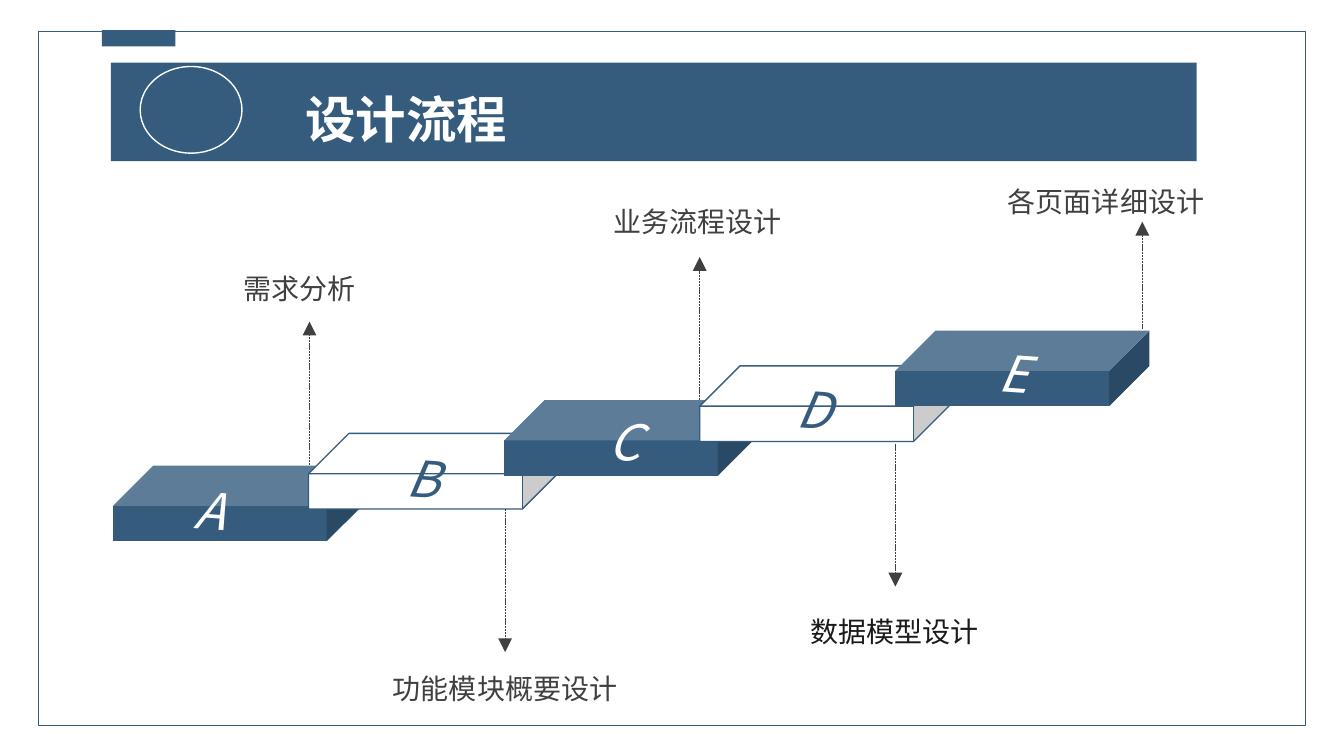
"""Build the design process slide: five ascending steps with labelled arrows."""
from lxml import etree
from pptx import Presentation, util as u
from pptx.dml.color import RGBColor
from pptx.enum import dml, shapes, text
from pptx.oxml import ns

NAVY = RGBColor(0x35, 0x5C, 0x7D)
WHITE = RGBColor(0xFF, 0xFF, 0xFF)
GREY = RGBColor(0x40, 0x40, 0x40)
DARK = RGBColor(0x1A, 0x1A, 0x1A)
FONT = "Noto Sans CJK SC"
KINDS = shapes.MSO_SHAPE

presentation = Presentation()
presentation.slide_width = u.Inches(13.33)
presentation.slide_height = u.Inches(7.5)
slide = presentation.slides.add_slide(presentation.slide_layouts[6])


def paint(shape, fill=None, line=None):
    shape.shadow.inherit = False
    if fill is None:
        shape.fill.background()
    else:
        shape.fill.solid()
        shape.fill.fore_color.rgb = fill
    if line is None:
        shape.line.fill.background()
    else:
        shape.line.color.rgb = line
        shape.line.width = u.Pt(1)


def add_text(words, center, middle, width, height, color, align=text.PP_ALIGN.CENTER, **font_format):
    box = slide.shapes.add_textbox(*map(u.Inches, (center - width / 2, middle - height / 2, width, height)))
    frame_format = {"word_wrap": True, "vertical_anchor": text.MSO_ANCHOR.MIDDLE,
                    "margin_left": 0, "margin_right": 0, "margin_top": 0, "margin_bottom": 0}
    for name, value in frame_format.items():
        setattr(box.text_frame, name, value)
    paragraph = box.text_frame.paragraphs[0]
    paragraph.alignment = align
    run = paragraph.add_run()
    run.text = words
    for name, value in {"name": FONT, **font_format}.items():
        setattr(run.font, name, value)
    run.font.color.rgb = color
    etree.SubElement(run.font._element, ns.qn("a:ea"), typeface=FONT)
    return box


blocks = [
    (KINDS.RECTANGLE, (0.38, 0.31, 12.57, 6.89), None, NAVY),
    (KINDS.RECTANGLE, (1.01, 0.3, 0.73, 0.16), NAVY, None),
    (KINDS.RECTANGLE, (1.1, 0.62, 10.77, 0.98), NAVY, None),
    (KINDS.OVAL, (1.39, 0.66, 1.01, 0.86), None, WHITE),
]
for kind, bounds, fill, line in blocks:
    paint(slide.shapes.add_shape(kind, *map(u.Inches, bounds)), fill, line)

book_points = [(1.82, 0.89), (1.82, 1.03), (1.78, 1), (1.73, 1.03), (1.73, 0.89), (1.69, 0.89)]
for page in range(6):
    top = 0.89 - page / 100
    book_points += [(2.13, top), (2.13, top - 0.005), (1.69, top - 0.005), (1.69, top - 0.01)]
book_points += [(2.14, 0.83), (2.14, 0.81), (1.66, 0.81), (1.66, 1.37), (2.15, 1.37), (2.15, 0.89)]
builder = slide.shapes.build_freeform(*book_points[0], scale=u.Inches(1))
builder.add_line_segments(book_points[1:], close=True)
paint(builder.convert_to_shape(), WHITE)

add_text("设计流程", 5.03, 1.17, 4, 0.8, WHITE, text.PP_ALIGN.LEFT, size=u.Pt(36), bold=True)

arrows = [
    (3.07, 4.61, 3.19),
    (5.01, 5.05, 6.47),
    (6.94, 3.97, 2.55),
    (8.88, 4.4, 5.82),
    (11.33, 3.26, 2.2),
]
steps = [
    ("A", 4.62, 2.09, 5.05),
    ("B", 4.3, 4.2, 4.74),
    ("C", 3.97, 6.2, 4.37),
    ("D", 3.63, 8.08, 4.05),
    ("E", 3.28, 10.05, 3.69),
]
for column, (letter, top, center, middle) in enumerate(steps):
    if letter == "E":
        for across, start, end in arrows:
            arrow = slide.shapes.add_connector(
                shapes.MSO_CONNECTOR.STRAIGHT, *map(u.Inches, (across, start, across, end)))
            arrow.line.color.rgb = GREY
            arrow.line.width = u.Pt(0.5)
            arrow.line.dash_style = dml.MSO_LINE.SQUARE_DOT
            outline = arrow.line._get_or_add_ln()
            outline.find(ns.qn("a:prstDash")).set("val", "sysDash")
            etree.SubElement(outline, ns.qn("a:tailEnd"), type="triangle", w="lg", len="lg")
            etree.SubElement(outline.getparent(), ns.qn("a:effectLst"))
    is_white = column % 2 == 1
    cube = slide.shapes.add_shape(
        KINDS.CUBE, *map(u.Inches, (1.12 + 1.94 * column, top, 2.52, 0.75)))
    cube.adjustments[0] = 0.533
    paint(cube, WHITE if is_white else NAVY, NAVY if is_white else None)
    add_text(letter, center, middle, 0.6, 0.7, NAVY if is_white else WHITE,
             size=u.Pt(36), italic=True).rotation = 4

labels = [
    ("需求分析", 2.97, 2.86, GREY),
    ("功能模块概要设计", 5.01, 6.83, GREY),
    ("业务流程设计", 6.92, 2.2, GREY),
    ("数据模型设计", 8.87, 6.26, DARK),
    ("各页面详细设计", 10.97, 2, GREY),
]
for words, center, middle, color in labels:
    add_text(words, center, middle, 2.61, 0.44, color, size=u.Pt(20))

presentation.save("out.pptx")
